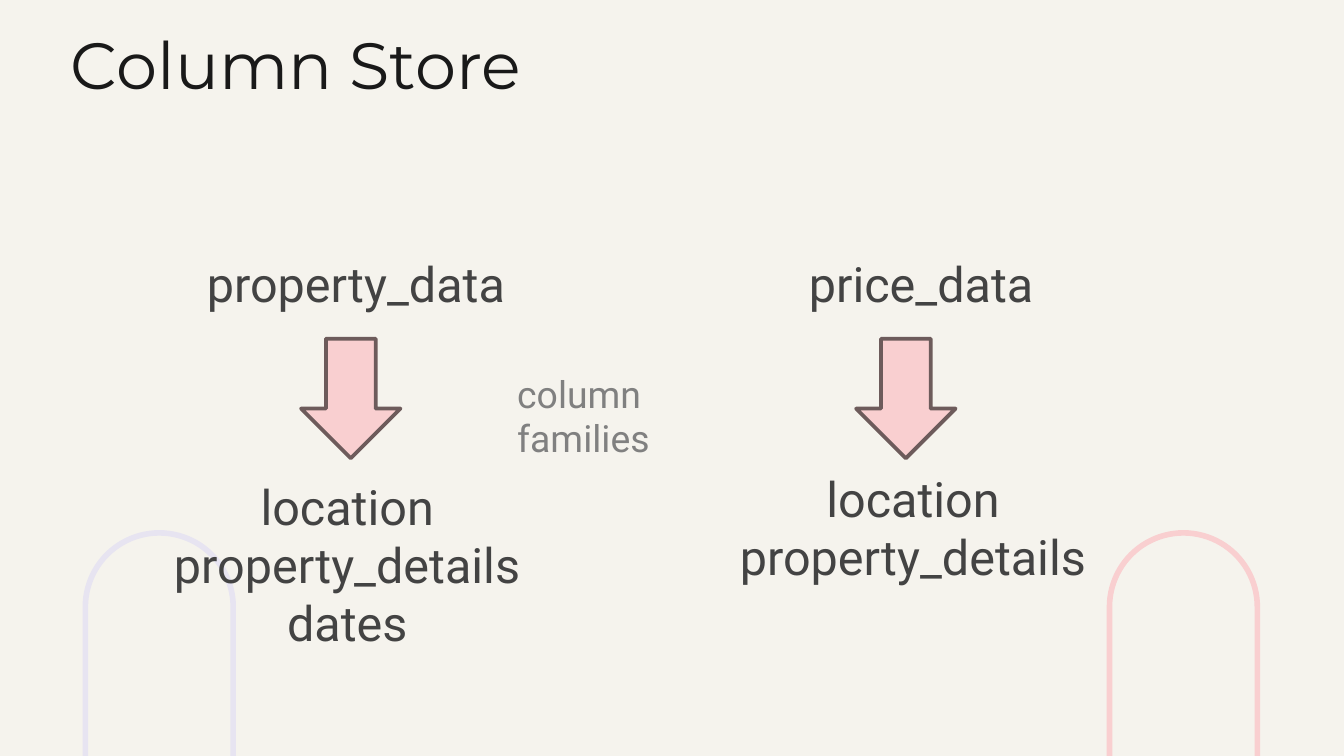
from pptx import Presentation
from pptx.dml.color import RGBColor
from pptx.enum.shapes import MSO_SHAPE
from pptx.enum.text import MSO_ANCHOR, MSO_AUTO_SIZE, PP_ALIGN
from pptx.util import Inches, Pt

COLORS = {
    "paper": "F5F3ED",
    "title": "191919",
    "body": "434343",
    "note": "808080",
    "lilac": "E7E4F1",
    "pink": "F9CFD0",
    "edge": "6D5B5B",
}


class Deck:
    """Holds the style and the current slide."""

    def __init__(self, width):
        self.prs = Presentation()
        self.prs.slide_width = Inches(width)
        self.prs.slide_height = Inches(width * 9 / 16)
        self.slide = self.prs.slides.add_slide(self.prs.slide_layouts[6])
        fill = self.slide.background.fill
        fill.solid()
        fill.fore_color.rgb = self.color("paper")

    def color(self, name):
        return RGBColor.from_string(COLORS[name])

    def shape(self, kind, box, line, weight, fill=None):
        item = self.slide.shapes.add_shape(kind, *map(Inches, box))
        item.shadow.inherit = False
        if fill:
            item.fill.solid()
            item.fill.fore_color.rgb = self.color(fill)
        else:
            item.fill.background()
        item.line.color.rgb = self.color(line)
        item.line.width = Pt(weight)
        return item

    def arch(self, left, line):
        item = self.shape(MSO_SHAPE.ROUNDED_RECTANGLE,
                          (left, 4.81, 2.79, 1.1), line, 3)
        item.adjustments[0] = 0.5
        item.rotation = 90

    def arrow(self, left):
        self.shape(MSO_SHAPE.DOWN_ARROW, (left, 2.52, 0.74, 0.89),
                   "edge", 2, "pink")

    def text(self, words, box, size=26, color="body", font="Roboto",
             align=PP_ALIGN.LEFT, pad=0.05, right=0.1, grow=True):
        frame = self.slide.shapes.add_textbox(*map(Inches, box)).text_frame
        frame.word_wrap = True
        frame.vertical_anchor = MSO_ANCHOR.TOP
        frame.auto_size = (MSO_AUTO_SIZE.SHAPE_TO_FIT_TEXT if grow
                           else MSO_AUTO_SIZE.NONE)
        frame.margin_left = Inches(0.1)
        frame.margin_right = Inches(right)
        frame.margin_top = frame.margin_bottom = Inches(pad)
        para = frame.paragraphs[0]
        para.text = words
        para.alignment = align
        for run in para.runs:
            run.font.name = font
            run.font.size = Pt(size)
            run.font.color.rgb = self.color(color)


def main():
    deck = Deck(10)

    # Arches at the foot
    deck.arch(-0.21, "lilac")
    deck.arch(7.41, "pink")

    # Title
    deck.text("Column Store", (0.43, 0.08, 8.43, 0.63), 35, "title",
              "Montserrat", pad=0.1, grow=False)

    # Each table: name, arrow, column families
    tables = [
        ("property_data", (1.44, 1.84, 2.78, 0.54), 2.24,
         "location\nproperty_details\ndates", (0.52, 3.5, 4.13, 1.41)),
        ("price_data", (5.92, 1.84, 3, 0.54), 6.37,
         "location\nproperty_details", (4.73, 3.44, 4.13, 0.98)),
    ]
    for name, head, left, parts, body in tables:
        deck.text(name, head)
        deck.arrow(left)
        deck.text(parts, body, align=PP_ALIGN.CENTER)

    # Note between the arrows, with a right inset that wraps it
    deck.text("column families", (3.75, 2.71, 2.16, 0.44), 20, "note",
              right=0.5)

    deck.prs.save("out.pptx")


if __name__ == "__main__":
    main()
